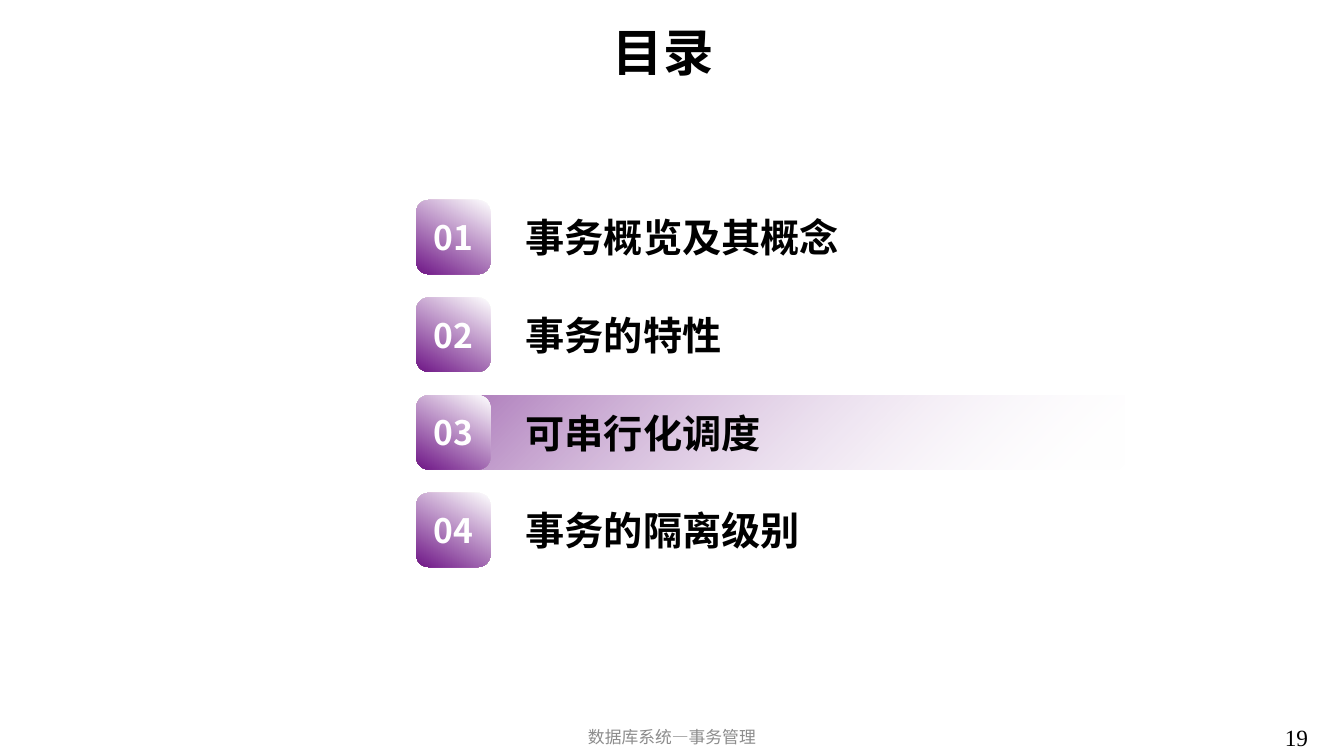
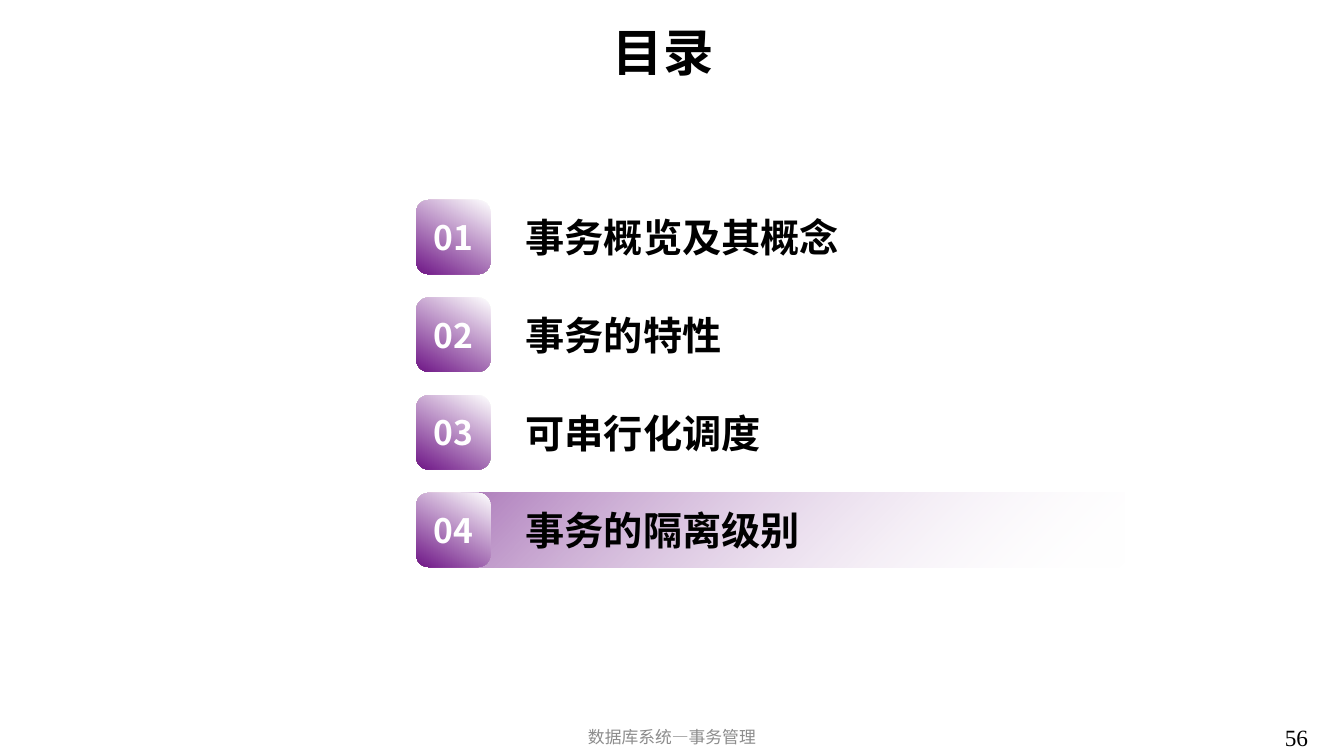
"""Build two agenda slides, each highlighting its current section."""
from lxml import etree
from pptx import Presentation
from pptx.dml.color import RGBColor
from pptx.enum.shapes import MSO_SHAPE
from pptx.enum.text import MSO_ANCHOR, PP_ALIGN
from pptx.oxml.ns import qn
from pptx.util import Cm, Pt

ROUNDED = MSO_SHAPE.ROUNDED_RECTANGLE
MIDDLE, TOP = MSO_ANCHOR.MIDDLE, MSO_ANCHOR.TOP
CENTER, LEFT = PP_ALIGN.CENTER, PP_ALIGN.LEFT

SANS, SERIF = "Noto Sans CJK SC", "Times New Roman"
PURPLE, WHITE, BLACK, GRAY = "6F1787", "FFFFFF", "000000", "8C8C8C"

SECTIONS = ["事务概览及其概念", "事务的特性", "可串行化调度", "事务的隔离级别"]
SLIDES = [("19", 2), ("56", 3)]
BADGE_LEFT, BADGE_SIZE = 10.49, 1.87
FIRST_TOP, ROW_PITCH = 5.04, 2.46
BAND_LEFT, BAND_RIGHT, BAND_SLANT = 10.8, 28.35, 0.81


def write(shape, text, size, color, font=SANS, bold=False, align=CENTER, anchor=MIDDLE):
    """Put one styled line of text in a shape."""
    frame = shape.text_frame
    frame.word_wrap = True
    frame.vertical_anchor = anchor
    para = frame.paragraphs[0]
    para.text = text
    para.alignment = align
    span = para.runs[0]
    span.font.size = Pt(size)
    span.font.bold = bold
    span.font.color.rgb = RGBColor.from_string(color)
    span.font.name = font
    etree.SubElement(span.font._element, qn("a:ea"), typeface=font)


def shade(shape, colors, angle):
    """Fill a shape with a two-colour gradient, without line or shadow."""
    shape.shadow.inherit = False
    shape.line.fill.background()
    shape.fill.gradient()
    shape.fill.gradient_angle = angle
    for stop, color in zip(shape.fill.gradient_stops, colors):
        stop.color.rgb = RGBColor.from_string(color)


deck = Presentation()
deck.slide_width, deck.slide_height = Cm(33.87), Cm(19.05)

for number, current in SLIDES:
    page = deck.slides.add_slide(deck.slide_layouts[6])

    footer = page.shapes.add_textbox(Cm(11.22), Cm(18.1), Cm(11.43), Cm(0.95))
    write(footer, "数据库系统—事务管理", 12, GRAY)
    page_number = page.shapes.add_textbox(Cm(32.13), Cm(18.1), Cm(1.74), Cm(0.95))
    write(page_number, number, 16.6, BLACK, font=SERIF, align=LEFT, anchor=TOP)
    title = page.shapes.add_textbox(Cm(2.69), Cm(0.36), Cm(28.04), Cm(1.88))
    write(title, "目录", 36, BLACK, bold=True)

    band_top = FIRST_TOP + current * ROW_PITCH
    band_bottom = band_top + BADGE_SIZE
    outline = page.shapes.build_freeform(Cm(BAND_RIGHT), Cm(band_bottom))
    outline.add_line_segments([
        (Cm(BAND_LEFT), Cm(band_bottom)),
        (Cm(BAND_LEFT + BAND_SLANT), Cm(band_top)),
        (Cm(BAND_RIGHT), Cm(band_top)),
    ])
    band = outline.convert_to_shape()
    shade(band, [PURPLE, WHITE], 315)
    for color, opacity in zip(band.element.spPr.iter(qn("a:srgbClr")), (62, 0)):
        etree.SubElement(color, qn("a:alpha"), val=str(opacity * 1000))

    for index, section in enumerate(SECTIONS):
        top = Cm(FIRST_TOP + index * ROW_PITCH)
        row = page.shapes.add_group_shape()
        badge = row.shapes.add_shape(ROUNDED, Cm(BADGE_LEFT), top, Cm(BADGE_SIZE), Cm(BADGE_SIZE))
        shade(badge, [WHITE, PURPLE], 240)
        write(badge, f"{index + 1:02}", 24, WHITE, bold=True)
        label = row.shapes.add_textbox(Cm(13.0), top, Cm(10.36), Cm(BADGE_SIZE))
        write(label, section, 28, BLACK, bold=True, align=LEFT)

deck.save("out.pptx")
